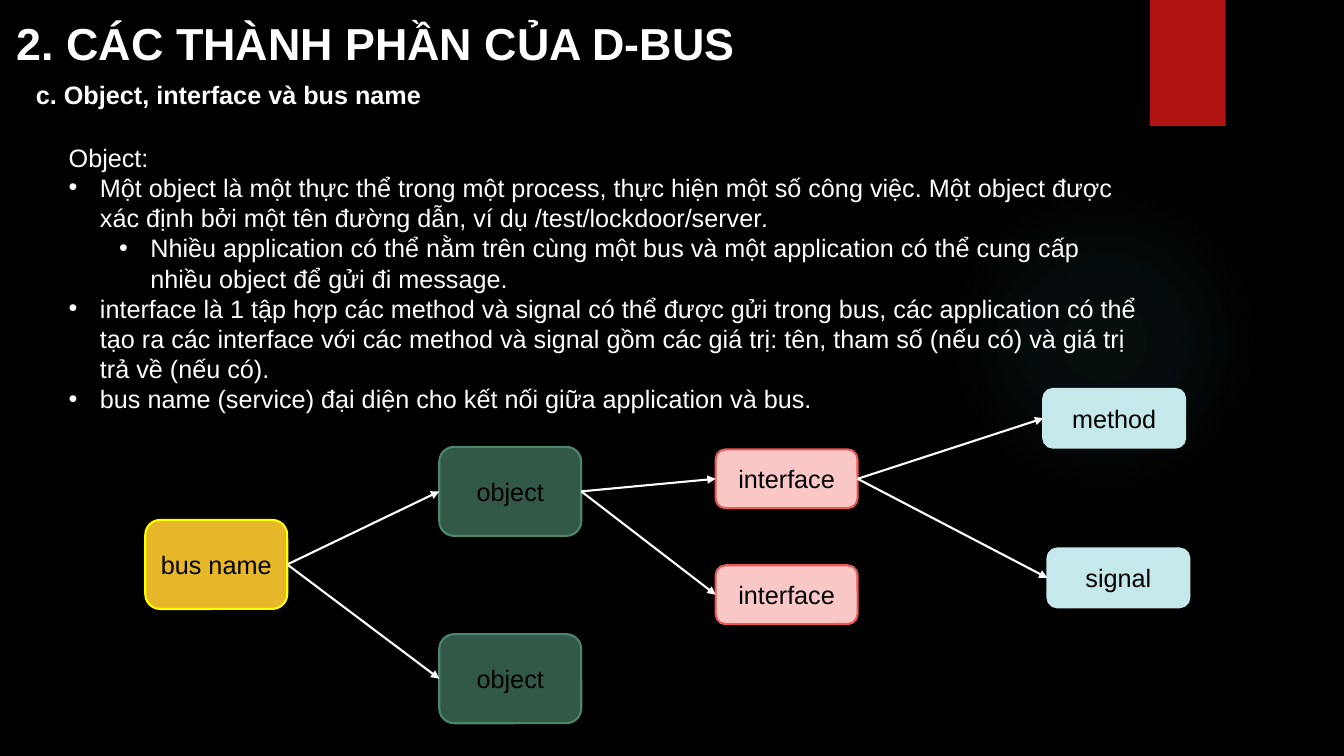
import dataclasses

import lxml.etree
import pptx
import pptx.dml.color
import pptx.enum.shapes
import pptx.enum.text
import pptx.oxml
import pptx.oxml.ns
import pptx.util

SHAPE = pptx.enum.shapes.MSO_SHAPE
ALIGN = pptx.enum.text.PP_ALIGN
ANCHOR = pptx.enum.text.MSO_ANCHOR
COLS, ROWS = 160, 90
WIDE, HIGH = pptx.util.Inches(13.33), pptx.util.Inches(7.5)


@dataclasses.dataclass(frozen=True)
class Theme:
    font: str = "Arial"
    head: int = 32
    text: int = 18
    line: float = 1.5
    back: str = "000000"
    ink: str = "FFFFFF"
    dark: str = "000000"
    tab: str = "B01513"
    glow: str = "50B9C1"
    bus: tuple = ("E6B729", "FFFF00")
    object: tuple = ("325948", "4B866D")
    face: tuple = ("F9C7C6", "ED5654")
    leaf: tuple = ("C5E8EA", "C5E8EA")


THEME = Theme()

# Name: label, colours, left column, top row, rows high
NODES = {
    "bus": ("bus name", THEME.bus, 17.3, 61.9, 10.6),
    "object 1": ("object", THEME.object, 52.3, 53.2, 10.6),
    "object 2": ("object", THEME.object, 52.3, 75.5, 10.6),
    "face 1": ("interface", THEME.face, 85.2, 53.5, 7),
    "face 2": ("interface", THEME.face, 85.2, 67.3, 7),
    "method": ("method", THEME.leaf, 124.2, 46.3, 7),
    "signal": ("signal", THEME.leaf, 124.7, 65.3, 7),
}
NODE_COLS = 16.9

LINKS = [
    ("bus", "object 1"), ("bus", "object 2"),
    ("object 1", "face 1"), ("object 1", "face 2"),
    ("face 1", "method"), ("face 1", "signal"),
]

# Level (None is unbulleted), runs; every second run is italic
POINTS = [
    (None, ["Object:"]),
    (0, ["Một object là một thực thể trong một process, thực hiện một số "
         "công việc. Một object được xác định bởi một tên đường dẫn, "
         "ví dụ /test/lockdoor/server", "."]),
    (1, ["Nhiều application có thể nằm trên cùng một bus và một application "
         "có thể cung cấp nhiều object để gửi đi message."]),
    (0, ["interface là 1 tập hợp các method và signal có thể được gửi trong "
         "bus, các application có thể tạo ra các interface với các method và "
         "signal gồm các giá trị: tên, tham số (nếu có) và giá trị trả về "
         "(nếu có)."]),
    (0, ["bus name (service) đại diện cho kết nối giữa application và bus."]),
]


def grid(col, row, cols, rows):
    """Turn grid cells into left, top, width and height."""
    return (int(WIDE * col / COLS), int(HIGH * row / ROWS),
            int(WIDE * cols / COLS), int(HIGH * rows / ROWS))


def rgb(code):
    return pptx.dml.color.RGBColor.from_string(code)


def style(para, color, size=THEME.text, bold=False, align=ALIGN.LEFT):
    font = para.font
    font.name, font.size, font.bold = THEME.font, pptx.util.Pt(size), bold
    font.color.rgb = rgb(color)
    para.alignment = align


def shape(slide, kind, area, fill):
    item = slide.shapes.add_shape(kind, *grid(*area))
    item.shadow.inherit = False
    item.fill.solid()
    item.fill.fore_color.rgb = rgb(fill)
    item.line.fill.background()
    return item


def glow(slide, area):
    """Add an ellipse that fades out from its centre."""
    item = shape(slide, SHAPE.OVAL, area, THEME.glow)
    stops = "".join(
        f'<a:gs pos="{pos}000"><a:srgbClr val="{THEME.glow}">'
        f'<a:alpha val="{alpha}000"/></a:srgbClr></a:gs>'
        for pos, alpha in [(0, 7), (36, 6), (69, 0), (100, 0)])
    fade = pptx.oxml.parse_xml(
        f'<a:gradFill {pptx.oxml.ns.nsdecls("a")}><a:gsLst>{stops}</a:gsLst>'
        '<a:path path="circle"><a:fillToRect l="50000" t="50000" '
        'r="50000" b="50000"/></a:path></a:gradFill>')
    props = item._element.spPr
    props.replace(props.find(pptx.oxml.ns.qn("a:solidFill")), fade)


def title(slide, text, area):
    item = slide.shapes.title
    item.left, item.top, item.width, item.height = grid(*area)
    frame = item.text_frame
    frame.text = text
    frame.auto_size = pptx.enum.text.MSO_AUTO_SIZE.NONE
    frame.vertical_anchor = ANCHOR.TOP
    style(frame.paragraphs[0], THEME.ink, THEME.head, True)


def text_box(slide, area):
    frame = slide.shapes.add_textbox(*grid(*area)).text_frame
    frame.word_wrap = True
    return frame


def bullet(para, level):
    para.level = level
    props = para._p.get_or_add_pPr()
    hang = pptx.util.Inches(0.31)
    props.set("marL", str(hang + level * pptx.util.Inches(0.5)))
    props.set("indent", str(-hang))
    for spot, (tag, key, value) in enumerate(
            [("a:buFont", "typeface", THEME.font), ("a:buChar", "char", "•")]):
        mark = lxml.etree.Element(pptx.oxml.ns.qn(tag))
        mark.set(key, value)
        props.insert(spot, mark)


def points(slide, area):
    frame = text_box(slide, area)
    for index, (level, parts) in enumerate(POINTS):
        para = frame.add_paragraph() if index else frame.paragraphs[0]
        for place, part in enumerate(parts):
            run = para.add_run()
            run.text = part
            if place % 2:
                run.font.italic = True
        style(para, THEME.ink)
        if level is not None:
            bullet(para, level)


def node(slide, label, colors, col, row, rows):
    fill, edge = colors
    item = shape(slide, SHAPE.ROUNDED_RECTANGLE,
                 (col, row, NODE_COLS, rows), fill)
    item.line.color.rgb = rgb(edge)
    item.line.width = pptx.util.Pt(THEME.line)
    frame = item.text_frame
    frame.text = label
    frame.vertical_anchor = ANCHOR.MIDDLE
    style(frame.paragraphs[0], THEME.dark, align=ALIGN.CENTER)
    return item


def arrow(slide, start, end):
    """Join the right side of one node to the left side of the next."""
    link = slide.shapes.add_connector(
        pptx.enum.shapes.MSO_CONNECTOR.STRAIGHT, 0, 0, 0, 0)
    link.begin_connect(start, 3)
    link.end_connect(end, 1)
    link.line.color.rgb = rgb(THEME.ink)
    link.line.width = pptx.util.Pt(THEME.line)
    qn = pptx.oxml.ns.qn
    tail = lxml.etree.SubElement(link.line._get_or_add_ln(), qn("a:tailEnd"))
    tail.set("type", "triangle")
    lxml.etree.SubElement(link._element.spPr, qn("a:effectLst"))


def main():
    deck = pptx.Presentation()
    deck.slide_width, deck.slide_height = WIDE, HIGH
    slide = deck.slides.add_slide(deck.slide_layouts.get_by_name("Title Only"))
    slide.background.fill.solid()
    slide.background.fill.fore_color.rgb = rgb(THEME.back)

    glow(slide, (112.9, 22, 37, 37))
    shape(slide, SHAPE.RECTANGLE, (136.9, 0, 9, 15), THEME.tab)
    title(slide, "2. CÁC THÀNH PHẦN CỦA D-BUS", (0.8, 1.3, 96.2, 7.7))
    points(slide, (7, 16.3, 129.6, 34))
    para = text_box(slide, (3.1, 8.9, 49.9, 4.8)).paragraphs[0]
    para.text = "c. Object, interface và bus name"
    style(para, THEME.ink, bold=True)

    nodes = {name: node(slide, *data) for name, data in NODES.items()}
    for start, end in LINKS:
        arrow(slide, nodes[start], nodes[end])
    deck.save("out.pptx")


if __name__ == "__main__":
    main()
